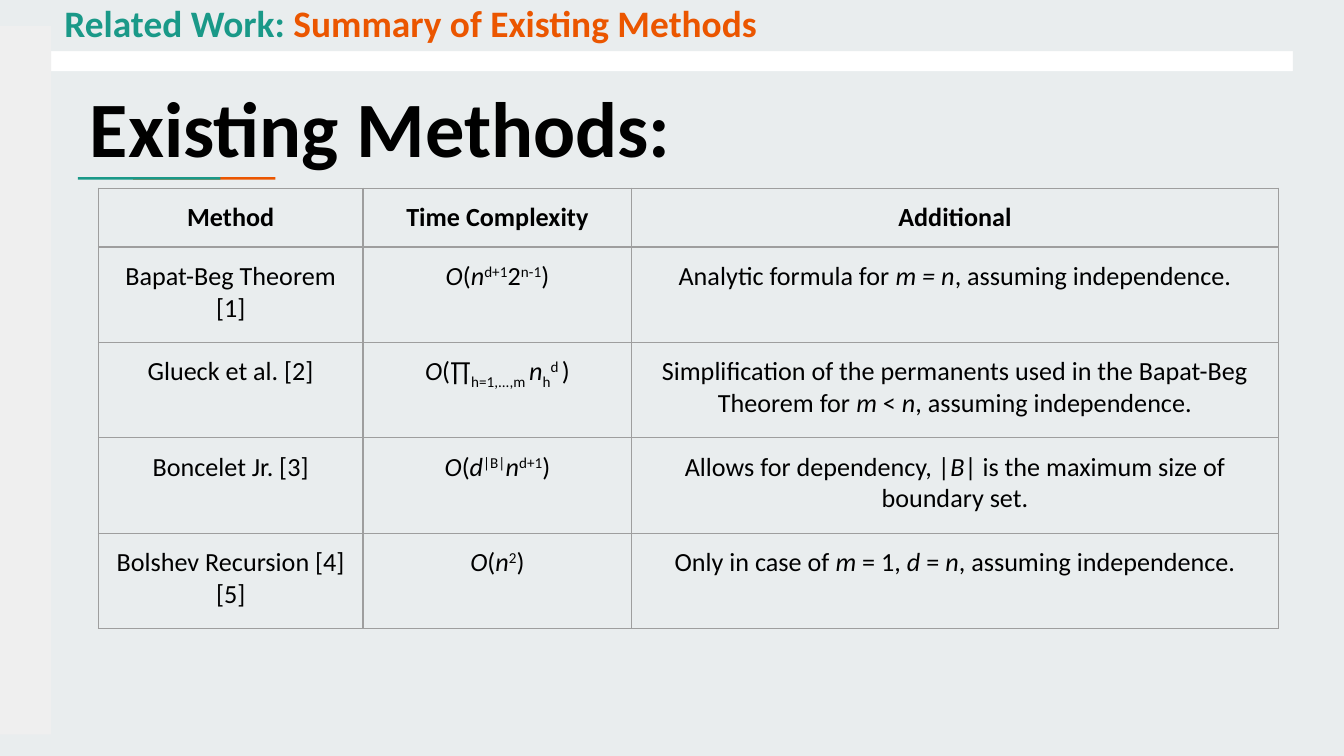
from lxml import etree
from pptx import Presentation
from pptx.dml.color import RGBColor
from pptx.enum import shapes, text
from pptx.oxml import ns
from pptx.util import Pt

MIST = RGBColor(0xE9, 0xED, 0xEE)
PALE = RGBColor(0xEF, 0xEF, 0xEF)
WHITE = RGBColor(0xFF, 0xFF, 0xFF)
BLACK = RGBColor(0x00, 0x00, 0x00)
TEAL = RGBColor(0x1A, 0x99, 0x88)
ORANGE = RGBColor(0xEB, 0x56, 0x00)
GRID = RGBColor(0x9E, 0x9E, 0x9E)

FONT = "Calibri"
INSET = Pt(7.2)
WIDTH, HEIGHT = 720, 405
EDGE = 27.4
COLUMNS = [141.8, 144, 346.3]
HEADER_HEIGHT, ROW_HEIGHT = 31.6, 51.1
BASELINES = {"sup": "30000", "sub": "-25000"}

BANDS = [
    (0, 0, WIDTH, 38.2, WHITE),
    (71.3, 94.9, 76.3, 1.4, ORANGE),
    (41.8, 94.9, 76.3, 1.4, TEAL),
    (0, 378, WIDTH, 27, MIST),
    (0, 0, WIDTH, EDGE, MIST),
    (0, 14, EDGE, 379.5, PALE),
    (692.6, 10.8, EDGE, 378.7, MIST),
]

METHODS = [
    [[("Method", "bold")], [("Time Complexity", "bold")], [("Additional", "bold")]],
    [
        [("Bapat-Beg Theorem [1]", "")],
        [("O", "italic"), ("(", ""), ("n", "italic"), ("d+1", "sup"),
         ("2", ""), ("n-1", "sup"), (")", "")],
        [("Analytic formula for ", ""), ("m = n", "italic"),
         (", assuming independence.", "")],
    ],
    [
        [("Glueck et al. [2]", "")],
        [("O", "italic"), ("(∏", ""), ("h=1,...,m ", "sub"), ("n", "italic"),
         ("h", "sub"), ("d ", "sup"), (")", "")],
        [("Simplification of the permanents used in the Bapat-Beg Theorem for ", ""),
         ("m", "italic"), (" < ", ""), ("n", "italic"),
         (", assuming independence.", "")],
    ],
    [
        [("Boncelet Jr. [3]", "")],
        [("O", "italic"), ("(", ""), ("d", "italic"), ("|B|", "sup"),
         ("n", "italic"), ("d+1", "sup"), (")", "")],
        [("Allows for dependency, |", ""), ("B", "italic"),
         ("| is the maximum size of boundary set.", "")],
    ],
    [
        [("Bolshev Recursion [4] [5]", "")],
        [("O", "italic"), ("(", ""), ("n", "italic"), ("2", "sup"), (")", "")],
        [("Only in case of ", ""), ("m", "italic"), (" = 1, ", ""),
         ("d", "italic"), (" = ", ""), ("n", "italic"),
         (", assuming independence.", "")],
    ],
]


def add_band(slide, left, top, width, height, color):
    band = slide.shapes.add_shape(
        shapes.MSO_SHAPE.RECTANGLE, Pt(left), Pt(top), Pt(width), Pt(height))
    band.shadow.inherit = False
    band.fill.solid()
    band.fill.fore_color.rgb = color
    band.line.fill.background()


def add_run(paragraph, wording, size, color=BLACK, style=""):
    run = paragraph.add_run()
    run.text = wording
    run.font.name = FONT
    run.font.size = Pt(size)
    run.font.color.rgb = color
    run.font.bold = style == "bold"
    run.font.italic = style == "italic"
    if style in BASELINES:
        run.font._element.set("baseline", BASELINES[style])


def set_insets(holder):
    holder.margin_left = holder.margin_right = INSET
    holder.margin_top = holder.margin_bottom = INSET
    holder.vertical_anchor = text.MSO_ANCHOR.TOP


def add_heading(heading, size, parts):
    frame = heading.text_frame
    frame.word_wrap = True
    frame.auto_size = text.MSO_AUTO_SIZE.NONE
    set_insets(frame)
    paragraph = frame.paragraphs[0]
    paragraph.alignment = text.PP_ALIGN.LEFT
    for wording, color in parts:
        add_run(paragraph, wording, size, color, "bold")


def outline_cell(cell):
    properties = cell._tc.get_or_add_tcPr()
    for position, side in enumerate(("lnL", "lnR", "lnT", "lnB")):
        border = etree.Element(ns.qn(f"a:{side}"), w=str(Pt(0.75)))
        fill = etree.SubElement(border, ns.qn("a:solidFill"))
        etree.SubElement(fill, ns.qn("a:srgbClr"), val=str(GRID))
        properties.insert(position, border)


def add_methods_table(slide):
    height = HEADER_HEIGHT + ROW_HEIGHT * (len(METHODS) - 1)
    methods = slide.shapes.add_table(
        len(METHODS), len(COLUMNS), Pt(52.7), Pt(100.8),
        Pt(sum(COLUMNS)), Pt(height)).table
    methods.first_row = methods.horz_banding = False
    for column, width in zip(methods.columns, COLUMNS):
        column.width = Pt(width)
    for index, contents in enumerate(METHODS):
        methods.rows[index].height = Pt(ROW_HEIGHT if index else HEADER_HEIGHT)
        for cell, parts in zip(methods.rows[index].cells, contents):
            set_insets(cell)
            cell.fill.background()
            outline_cell(cell)
            paragraph = cell.text_frame.paragraphs[0]
            paragraph.alignment = text.PP_ALIGN.CENTER
            for wording, style in parts:
                add_run(paragraph, wording, 14, style=style)


def main():
    deck = Presentation()
    deck.slide_width, deck.slide_height = Pt(WIDTH), Pt(HEIGHT)
    slide = deck.slides.add_slide(deck.slide_layouts[5])
    slide.background.fill.solid()
    slide.background.fill.fore_color.rgb = MIST

    for band in BANDS:
        add_band(slide, *band)

    section = slide.shapes.add_textbox(Pt(27.4), Pt(-7.2), Pt(489.6), Pt(34.6))
    add_heading(section, 20, [("Related Work: ", TEAL),
                              ("Summary of Existing Methods", ORANGE)])
    add_methods_table(slide)

    title = slide.shapes.title
    title.left, title.top = Pt(41), Pt(35.3)
    title.width, title.height = Pt(651.6), Pt(57.6)
    add_heading(title, 42, [("Existing Methods:", BLACK)])

    deck.save("out.pptx")


if __name__ == "__main__":
    main()
